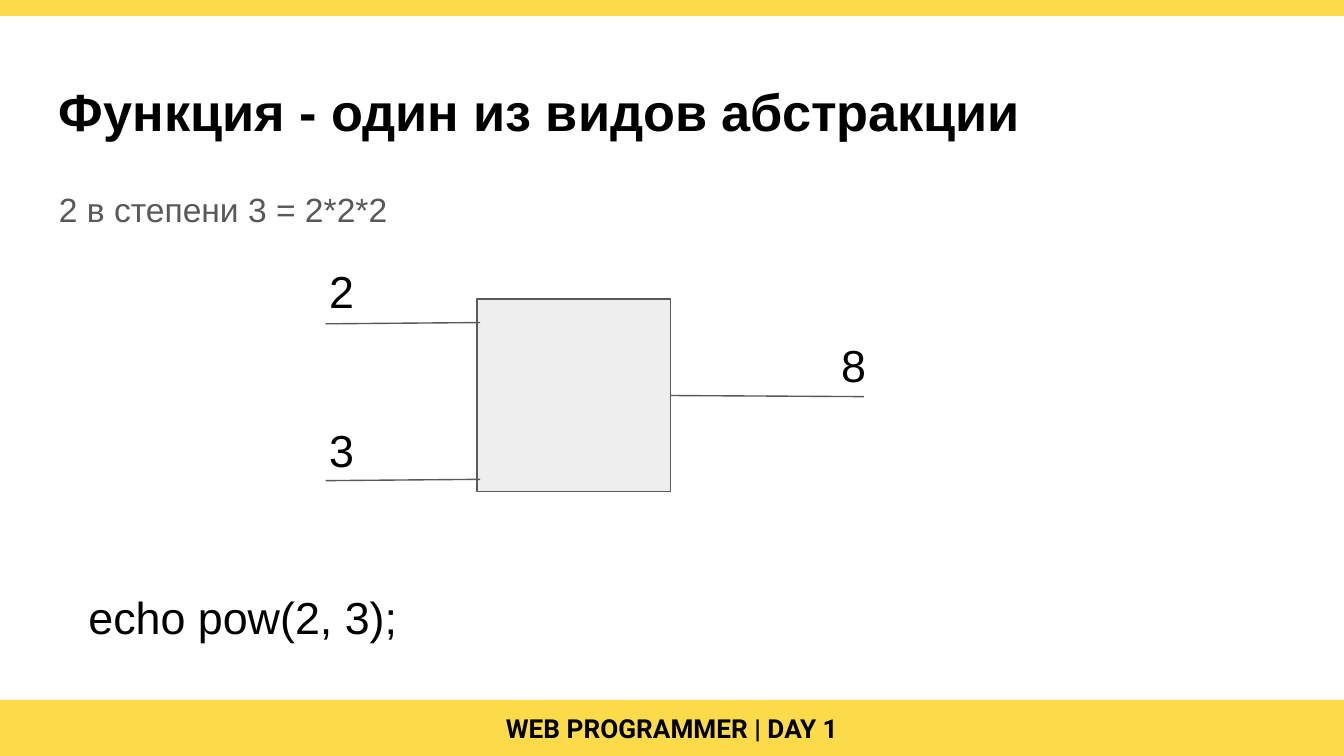
"""Build the slide that explains a function as a kind of abstraction."""
from lxml.etree import SubElement
from pptx import Presentation
from pptx.dml.color import RGBColor as Rgb
from pptx.enum.shapes import MSO_CONNECTOR as Link, MSO_SHAPE as Form
from pptx.enum.text import MSO_ANCHOR as Anchor, PP_ALIGN as Align
from pptx.oxml.ns import qn
from pptx.util import Pt

WIDE, HIGH = 720, 405
INSET = 7.2
COLORS = {"ink": "000000", "gray": "595959", "box": "EEEEEE", "band": "FBDB4A"}

TITLE = "Функция - один из видов абстракции"
BODY = "2 в степени 3 = 2*2*2"
CODE = "echo pow(2, 3);"
FOOTER = "WEB PROGRAMMER | DAY 1"

BANDS = [(0, 8.6), (375, 30)]
BOX = (255.6, 160.3, 103.8, 103)
PORTS = [
    ("2", 169.2, 133.9, (257.2, 172.8), (174.4, 173.5)),
    ("3", 169.2, 219.5, (257.2, 256.8), (174.4, 257.5)),
    ("8", 443.5, 173.7, (359.4, 211.9), (462.8, 212.5)),
]


def tint(name):
    return Rgb.from_string(COLORS[name])


def add_rect(slide, area, fill, line=None):
    rect = slide.shapes.add_shape(Form.RECTANGLE, *map(Pt, area))
    rect.shadow.inherit = False
    rect.fill.solid()
    rect.fill.fore_color.rgb = tint(fill)
    if line:
        rect.line.color.rgb = tint(line)
        rect.line.width = Pt(0.75)
    else:
        rect.line.fill.background()


def add_line(slide, start, end):
    line = slide.shapes.add_connector(Link.STRAIGHT, *map(Pt, start + end))
    line.line.color.rgb = tint("gray")
    line.line.width = Pt(0.75)
    SubElement(line._element.spPr, qn("a:effectLst"))


def add_text(slide, text, area, size=24, color="ink", face="Arial", bold=False):
    frame = slide.shapes.add_textbox(*map(Pt, area)).text_frame
    frame.word_wrap = True
    frame.margin_left = frame.margin_right = Pt(INSET)
    frame.margin_top = frame.margin_bottom = Pt(INSET)
    frame.text = text
    font = frame.paragraphs[0].runs[0].font
    font.name, font.size, font.bold = face, Pt(size), bold
    font.color.rgb = tint(color)
    return frame


def main():
    deck = Presentation()
    deck.slide_width, deck.slide_height = Pt(WIDE), Pt(HIGH)
    slide = deck.slides.add_slide(deck.slide_layouts[6])

    add_text(slide, TITLE, (24.5, 35, 671, 45.1), size=28, bold=True)
    body = add_text(slide, BODY, (24.5, 90.7, 671, 269), size=18, color="gray")
    body.paragraphs[0].line_spacing = 1.15

    add_rect(slide, BOX, "box", "gray")
    for label, left, top, start, end in PORTS:
        add_line(slide, start, end)
        add_text(slide, label, (left, top, 35.3, 58.3))
    add_text(slide, CODE, (40.3, 308.9, 390, 58.3))

    for top, tall in BANDS:
        add_rect(slide, (0, top, WIDE, tall), "band")
    top, tall = BANDS[-1]
    wide = 393
    area = ((WIDE - wide) / 2, top, wide, tall)
    footer = add_text(slide, FOOTER, area, size=14, face="Roboto", bold=True)
    footer.vertical_anchor = Anchor.MIDDLE
    footer.paragraphs[0].alignment = Align.CENTER

    deck.save("out.pptx")


if __name__ == "__main__":
    main()
